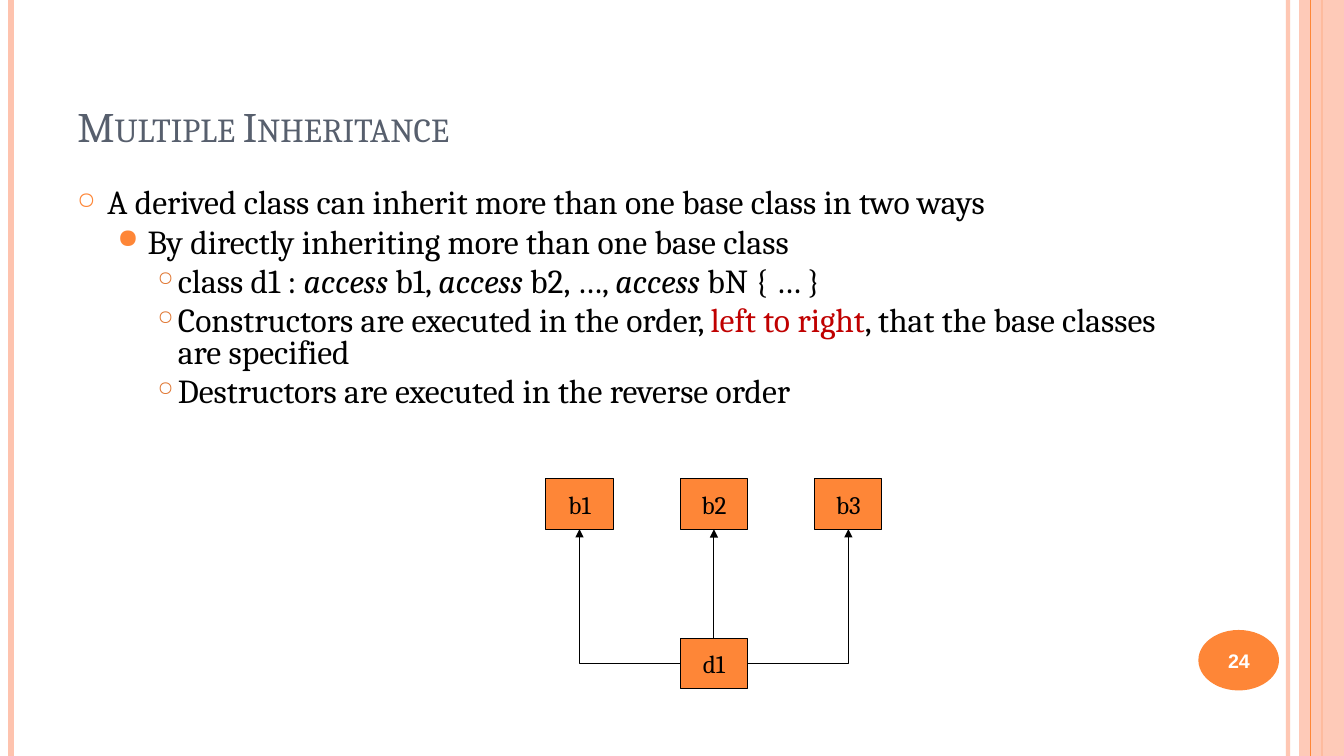
from lxml import etree
from pptx import Presentation
from pptx.dml.color import RGBColor
from pptx.enum.shapes import MSO_CONNECTOR, MSO_SHAPE
from pptx.enum.text import MSO_ANCHOR, MSO_AUTO_SIZE, PP_ALIGN
from pptx.oxml.ns import qn
from pptx.util import Pt

STRAIGHT, ELBOW = MSO_CONNECTOR.STRAIGHT, MSO_CONNECTOR.ELBOW
RECT, OVAL = MSO_SHAPE.RECTANGLE, MSO_SHAPE.OVAL
MIDDLE, BOTTOM = MSO_ANCHOR.MIDDLE, MSO_ANCHOR.BOTTOM
LEFT, CENTER = PP_ALIGN.LEFT, PP_ALIGN.CENTER
TOP_SITE, LEFT_SITE, BOTTOM_SITE, RIGHT_SITE = range(4)

# Content
TITLE = "Multiple Inheritance"
PAGE = "24"
FONT = "Cambria"
ORANGE, PEACH, BLACK, WHITE = "FE8637", "FEC3AE", "000000", "FFFFFF"
SLATE, RED, RUST = "575F6D", "C00000", "E07631"
# Each run is (text, style); each bullet is (level, runs)
BULLETS = [
    (0, [("A derived class can inherit more than one base class in two ways", "")]),
    (1, [("By directly inheriting more than one base class", "")]),
    (2, [("class d1 : ", ""), ("access", "italic"), (" b1, ", ""), ("access", "italic"),
         (" b2, …, ", ""), ("access ", "italic"), ("bN { … }", "")]),
    (2, [("Constructors are executed in the order, ", ""), ("left to right", "red"),
         (", that the base classes are specified", "")]),
    (2, [("Destructors are executed in the reverse order", "")]),
]
# Level: indent, hanging, line spacing, space before, bullet, colour, size %
LEVELS = [
    (21.6, 21.6, 1.0, 6, "○", ORANGE, 70),
    (50.4, 21.6, 0.8, 4.8, "●", ORANGE, 80),
    (72, 14.4, 0.8, 4.8, "○", RUST, 60),
]
BASES = ["b1", "b2", "b3"]
DERIVED = "d1"
# Vertical rules: x, colour, width, opacity %
RULES = [(920, PEACH, 3, 93), (8, PEACH, 4.5, 100), (944, ORANGE, 1.5, 100),
         (936, ORANGE, 0.75, 100)]
W, H = 960, 540
BOX_W, BOX_H, BOX_STEP = 48, 36, 96
BASE_X, BASE_Y, DERIVED_Y = 390, 342, 456


def rgb(color):
    return RGBColor.from_string(color)


def box(x, y, w, h):
    return Pt(x), Pt(y), Pt(w), Pt(h)


def style(r, size, color, font=FONT):
    r.font.size, r.font.name = Pt(size), font
    r.font.color.rgb = rgb(color)


def set_alpha(shape, percent):
    clr = next(shape._element.spPr.iter(qn("a:srgbClr")))
    etree.SubElement(clr, qn("a:alpha"), val=str(percent * 1000))


def add_shape(kind, frame, fill, line=None):
    sp = s.shapes.add_shape(kind, *box(*frame))
    sp.shadow.inherit = False
    sp.fill.solid()
    sp.fill.fore_color.rgb = rgb(fill)
    if line:
        sp.line.color.rgb, sp.line.width = rgb(line), Pt(0.75)
    else:
        sp.line.fill.background()
    return sp


def add_line(kind, x1, y1, x2, y2, color, width):
    c = s.shapes.add_connector(kind, Pt(x1), Pt(y1), Pt(x2), Pt(y2))
    c.line.color.rgb, c.line.width = rgb(color), Pt(width)
    etree.SubElement(c._element.spPr, qn("a:effectLst"))
    return c


def put_label(tf, text, size, color, font=FONT):
    tf.text = text
    tf.vertical_anchor = MIDDLE
    p = tf.paragraphs[0]
    p.alignment = CENTER
    style(p.runs[0], size, color, font)


def class_box(name, x, y):
    sp = add_shape(RECT, (x, y, BOX_W, BOX_H), ORANGE, BLACK)
    sp.text_frame.word_wrap = False
    put_label(sp.text_frame, name, 18, BLACK)
    return sp


def add_bullet(p, level):
    indent, hanging, spacing, before, char, color, size = LEVELS[level]
    p.level, p.alignment = level, LEFT
    p.line_spacing, p.space_before = spacing, Pt(before)
    pPr = p._p.get_or_add_pPr()
    pPr.set("marL", str(Pt(indent)))
    pPr.set("indent", str(-Pt(hanging)))
    clr = etree.SubElement(pPr, qn("a:buClr"))
    etree.SubElement(clr, qn("a:srgbClr"), val=color)
    etree.SubElement(pPr, qn("a:buSzPct"), val=str(size * 1000))
    etree.SubElement(pPr, qn("a:buChar"), char=char)


prs = Presentation()
prs.slide_width, prs.slide_height = Pt(W), Pt(H)
s = prs.slides.add_slide(prs.slide_layouts[5])

# Side rules and band
for x, color, width, alpha in RULES:
    rule = add_line(STRAIGHT, x, 0, x, H, color, width)
    if alpha < 100:
        set_alpha(rule, alpha)
    if x == 944:
        set_alpha(add_shape(RECT, (928, 0, 32, H), PEACH), 87)

# Title
title = s.shapes.title
title.left, title.top, title.width, title.height = box(48, 21.6, 808, 90)
tf = title.text_frame
tf.text = TITLE
tf.vertical_anchor, tf.auto_size = BOTTOM, MSO_AUTO_SIZE.NONE
tf.paragraphs[0].alignment = LEFT
r = tf.paragraphs[0].runs[0]
style(r, 30, SLATE)
r._r.get_or_add_rPr().set("cap", "small")

# Bullets
tf = s.shapes.add_textbox(*box(48, 126, 808, 384)).text_frame
tf.word_wrap = True
for i, (level, runs) in enumerate(BULLETS):
    p = tf.add_paragraph() if i else tf.paragraphs[0]
    add_bullet(p, level)
    for text, look in runs:
        r = p.add_run()
        r.text = text
        style(r, 24, RED if look == "red" else BLACK)
        r.font.italic = look == "italic"

# Page number
add_shape(OVAL, (856, 450, 57.6, 43.2), ORANGE)
tf = s.shapes.add_textbox(*box(853, 451.5, 64, 41)).text_frame
tf.word_wrap = True
put_label(tf, PAGE, 14, WHITE, "Arial")
tf.paragraphs[0].runs[0].font.bold = True

# Class diagram: the derived box sits under the middle base
bases = [class_box(name, BASE_X + i * BOX_STEP, BASE_Y) for i, name in enumerate(BASES)]
derived = class_box(DERIVED, BASE_X + BOX_STEP, DERIVED_Y)
for base, site in zip(bases, (LEFT_SITE, TOP_SITE, RIGHT_SITE)):
    kind = STRAIGHT if site == TOP_SITE else ELBOW
    arrow = add_line(kind, 0, 0, 0, 0, BLACK, 0.75)
    arrow.begin_connect(derived, site)
    arrow.end_connect(base, BOTTOM_SITE)
    if kind == ELBOW:
        arrow._element.spPr.find(qn("a:prstGeom")).set("prst", "bentConnector2")
    etree.SubElement(arrow.line._get_or_add_ln(), qn("a:tailEnd"), type="triangle")

prs.save("out.pptx")
